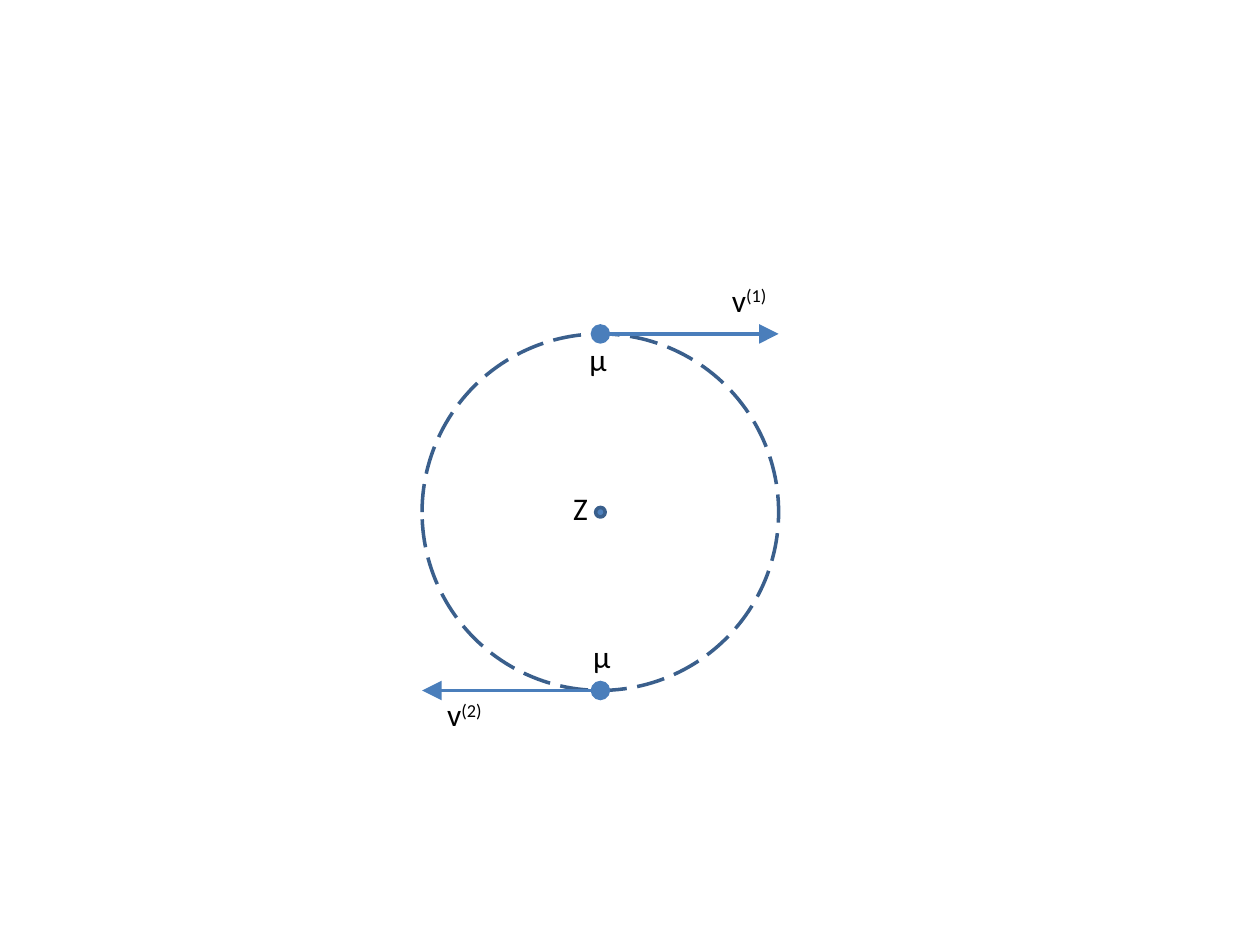
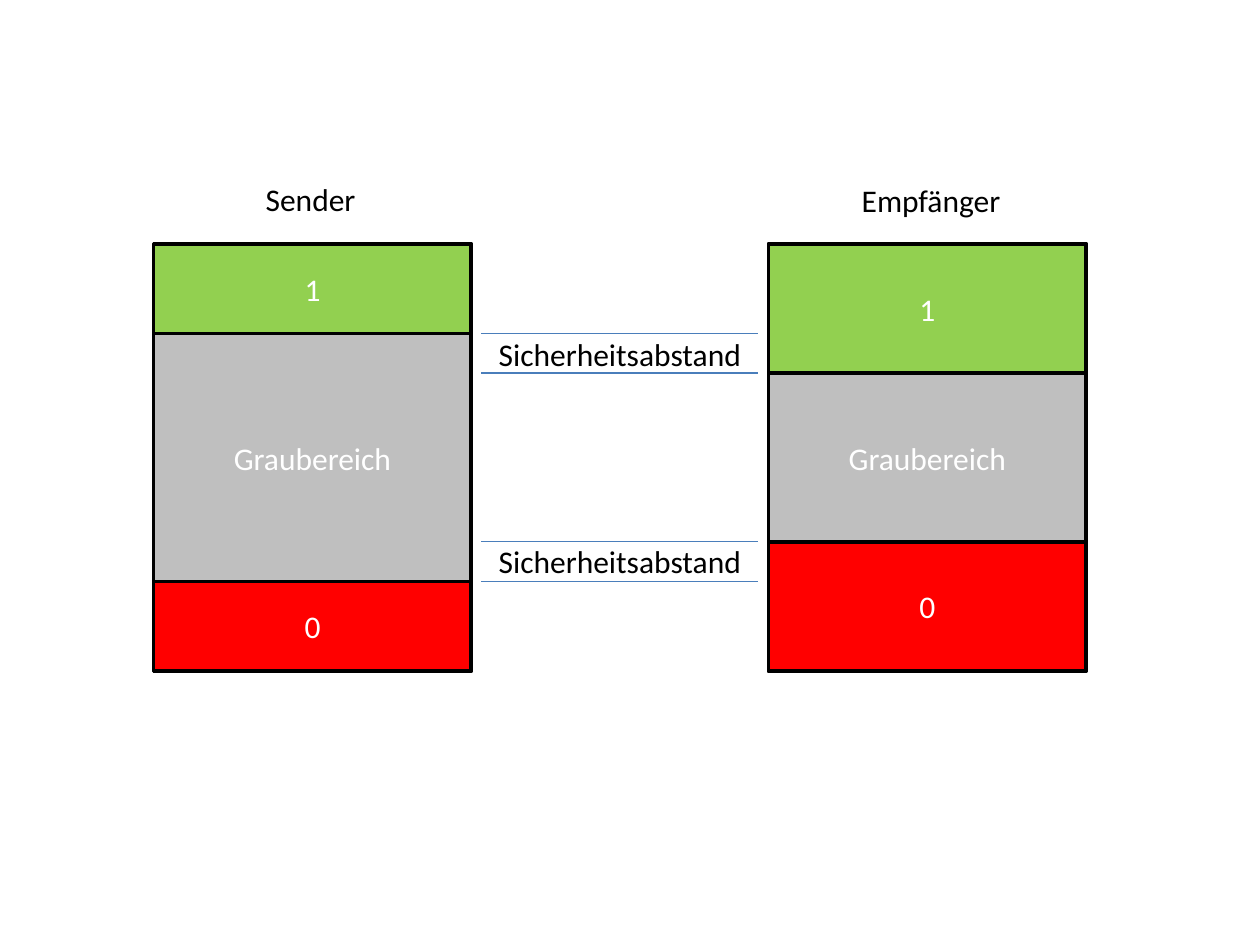
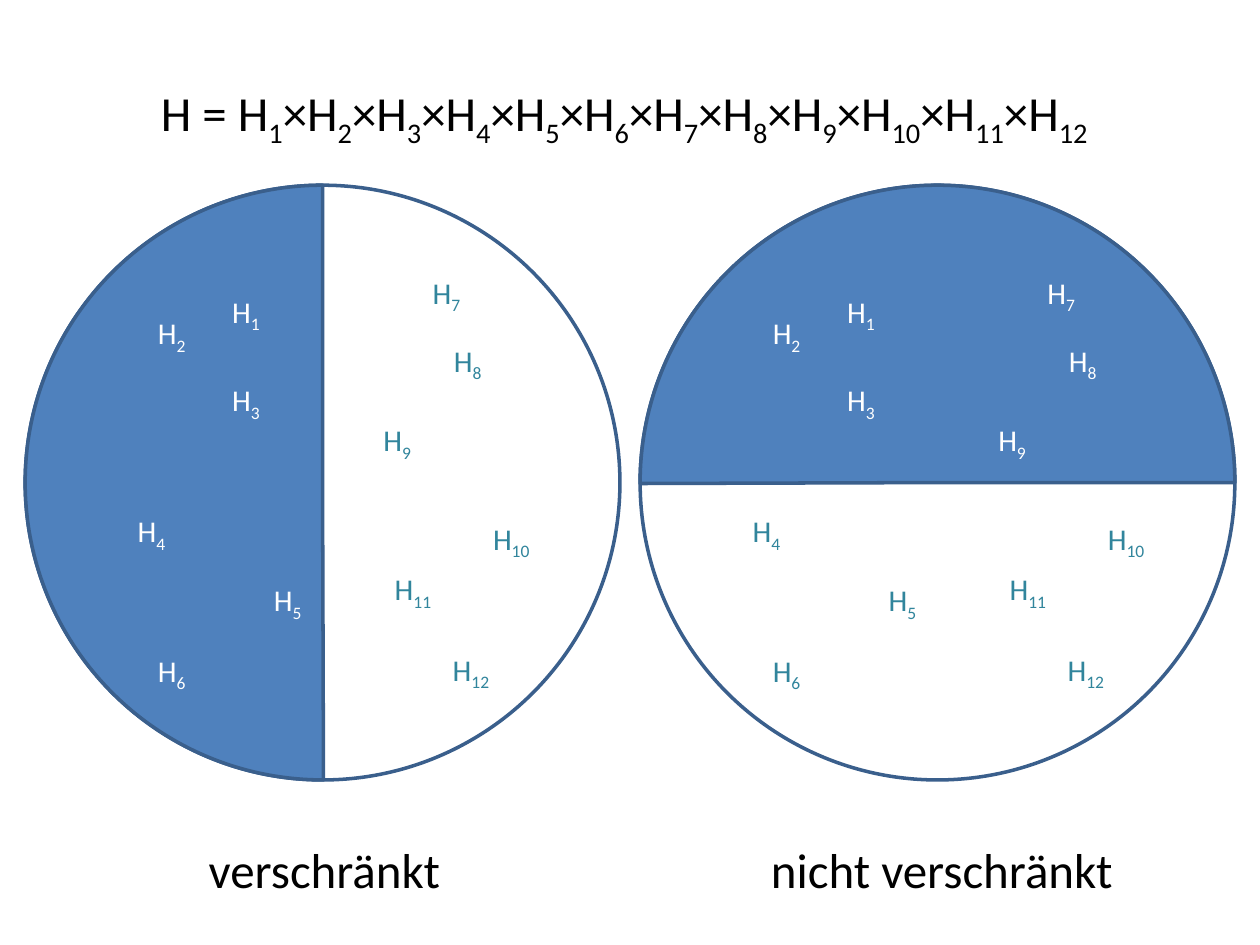
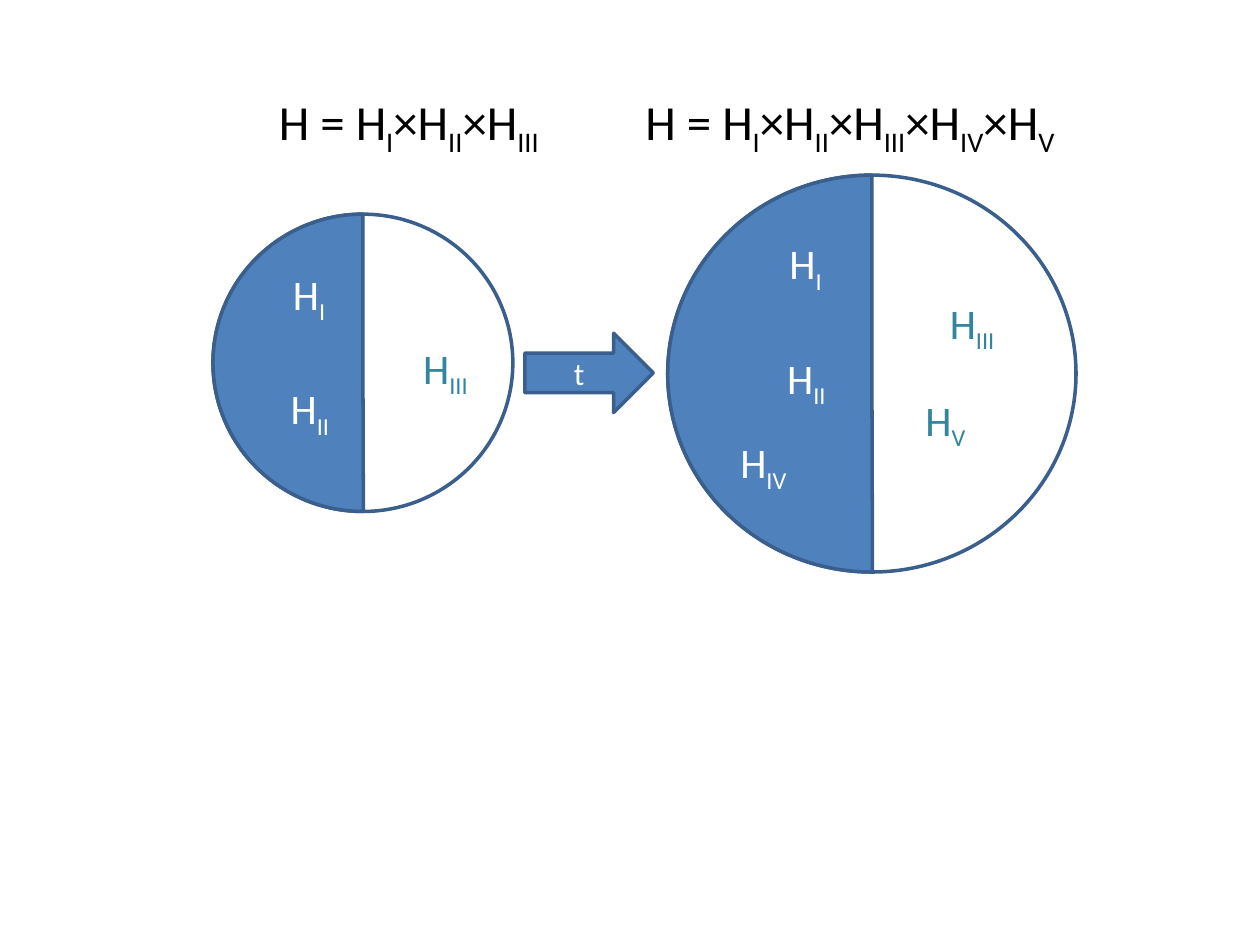
from dataclasses import dataclass
from typing import Optional

from lxml.etree import SubElement
from pptx import Presentation
from pptx.dml.color import RGBColor
from pptx.enum.dml import MSO_LINE
from pptx.enum.shapes import MSO_CONNECTOR, MSO_SHAPE
from pptx.enum.text import MSO_ANCHOR, MSO_AUTO_SIZE, PP_ALIGN
from pptx.oxml.ns import qn
from pptx.util import Inches, Pt

# Shared style: a grid of 100 columns and 75 rows covers the slide
COLUMNS, ROWS = 100, 75
FONT = "Calibri"
COLORS = {
    "black": "000000", "white": "FFFFFF", "blue": "4F81BD", "outline": "3A5F8C",
    "line": "4A7EBB", "teal": "31859C", "grey": "BFBFBF", "green": "92D050", "red": "FF0000",
}
SUBSCRIPT, SUPERSCRIPT = -25000, 30000

presentation = Presentation()
presentation.slide_width, presentation.slide_height = Inches(10), Inches(7.5)
CELL_WIDTH = presentation.slide_width / COLUMNS
CELL_HEIGHT = presentation.slide_height / ROWS


@dataclass(frozen=True)
class Box:
    """An area in columns and rows."""
    left: float
    top: float
    width: float
    height: float

    @property
    def center(self) -> tuple[float, float]:
        return self.left + self.width / 2, self.top + self.height / 2

    def emu(self) -> tuple[int, int, int, int]:
        return (round(self.left * CELL_WIDTH), round(self.top * CELL_HEIGHT),
                round(self.width * CELL_WIDTH), round(self.height * CELL_HEIGHT))


@dataclass(frozen=True)
class Label:
    """Text in which every second part between bars is raised or lowered."""
    text: str
    box: Box
    size: float = 18
    color: str = "black"
    align: PP_ALIGN = PP_ALIGN.LEFT
    wrap: bool = False
    script: int = SUBSCRIPT


@dataclass(frozen=True)
class Band:
    text: str
    color: str
    top: float
    height: float


@dataclass(frozen=True)
class Bar:
    title: str
    title_box: Box
    left: float
    edge_height: float


def rgb(name: str) -> RGBColor:
    return RGBColor.from_string(COLORS[name])


def add_slide():
    return presentation.slides.add_slide(presentation.slide_layouts[6])


def write(frame, label: Label) -> None:
    paragraph = frame.paragraphs[0]
    paragraph.alignment = label.align
    paragraph.font.name = FONT
    paragraph.font.size = Pt(label.size)
    paragraph.font.color.rgb = rgb(label.color)
    for position, part in enumerate(label.text.split("|")):
        run = paragraph.add_run()
        run.text = part
        if position % 2:
            run._r.get_or_add_rPr().set("baseline", str(label.script))


def add_label(slide, label: Label) -> None:
    frame = slide.shapes.add_textbox(*label.box.emu()).text_frame
    frame.word_wrap = label.wrap
    if label.wrap:
        frame.vertical_anchor = MSO_ANCHOR.MIDDLE
    else:
        frame.auto_size = MSO_AUTO_SIZE.SHAPE_TO_FIT_TEXT
    write(frame, label)


def add_shape(slide, preset: MSO_SHAPE, box: Box, fill: Optional[str],
              line: str = "outline", text: str = ""):
    shape = slide.shapes.add_shape(preset, *box.emu())
    shape.shadow.inherit = False
    if fill:
        shape.fill.solid()
        shape.fill.fore_color.rgb = rgb(fill)
    else:
        shape.fill.background()
    shape.line.color.rgb = rgb(line)
    shape.line.width = Pt(2)
    if text:
        shape.text_frame.vertical_anchor = MSO_ANCHOR.MIDDLE
        write(shape.text_frame, Label(text, box, color="white", align=PP_ALIGN.CENTER))
    return shape


def add_line(slide, start: tuple[float, float], end: tuple[float, float],
             width: float, head: str = "", tail: str = "") -> None:
    x1, y1, _, _ = Box(*start, 0, 0).emu()
    x2, y2, _, _ = Box(*end, 0, 0).emu()
    connector = slide.shapes.add_connector(MSO_CONNECTOR.STRAIGHT, x1, y1, x2, y2)
    connector.line.color.rgb = rgb("line")
    connector.line.width = Pt(width)
    for tag, kind in (("a:headEnd", head), ("a:tailEnd", tail)):
        if kind:
            end_mark = SubElement(connector.line._get_or_add_ln(), qn(tag))
            for name, value in (("type", kind), ("w", "lg"), ("len", "lg")):
                end_mark.set(name, value)
    SubElement(connector._element.spPr, qn("a:effectLst"))


def add_split_circle(slide, box: Box, rotation: float = 0) -> None:
    """A white circle with one half filled: the left one, unless rotated."""
    add_shape(slide, MSO_SHAPE.FLOWCHART_CONNECTOR, box, "white").rotation = rotation
    half = add_shape(slide, MSO_SHAPE.PIE, box, "blue")
    half.adjustments[0], half.adjustments[1] = 53.89, 162
    half.rotation = rotation


def add_heading(slide, text: str, box: Box) -> None:
    add_label(slide, Label(text, box, 28, align=PP_ALIGN.CENTER, wrap=True))


def add_factor(slide, index: str, box: Box, size: float, filled: bool) -> None:
    color = "white" if filled else "teal"
    add_label(slide, Label(f"H|{index}", box, size, color, PP_ALIGN.RIGHT, True))


def product(indices: list[str]) -> str:
    return "H = H|" + "|×H|".join(indices) + " "


# Slide 1: two particles on one orbit
slide = add_slide()
orbit = Box(33.5, 26.5, 28.3, 28.3)
center_x, center_y = orbit.center
right, bottom = orbit.left + orbit.width, orbit.top + orbit.height
add_shape(slide, MSO_SHAPE.OVAL, orbit, None).line.dash_style = MSO_LINE.LONG_DASH
for y, tip in ((orbit.top, right), (bottom, orbit.left)):
    add_line(slide, (center_x, y), (tip, y), 2.24, "oval", "triangle")
add_shape(slide, MSO_SHAPE.OVAL, Box(center_x - 0.38, center_y - 0.38, 0.76, 0.76), "blue")
for text, left, top, width in (
    ("Z", 44.5, 38.3, 3.1),
    ("μ", 45.8, 26.5, 3.3),
    ("μ", 46.1, 50.1, 3.3),
    ("v|(1)", 57.1, 21.8, 5),
    ("v|(2)", 34.5, 54.7, 5),
):
    add_label(slide, Label(text, Box(left, top, width, 4), script=SUPERSCRIPT))

# Slide 2: signal levels of sender and receiver
slide = add_slide()
BAR_TOP, BAR_WIDTH, BAR_HEIGHT = 19.37, 25.2, 33.87
bars = (
    Bar("Sender", Box(20.1, 13.8, 9.5, 4), 12.2, 7.1),
    Bar("Empfänger", Box(67.4, 13.9, 13.2, 4), 61, 10.24),
)
for bar in bars:
    bands = (
        Band("Graubereich", "grey", BAR_TOP, BAR_HEIGHT),
        Band("1", "green", BAR_TOP, bar.edge_height),
        Band("0", "red", BAR_TOP + BAR_HEIGHT - bar.edge_height, bar.edge_height),
    )
    for band in bands:
        add_shape(slide, MSO_SHAPE.FLOWCHART_PROCESS,
                  Box(bar.left, band.top, BAR_WIDTH, band.height),
                  band.color, "black", band.text)
    add_label(slide, Label(bar.title, bar.title_box))

# Safety margins between the two bars
for bar in bars:
    for y in (BAR_TOP + bar.edge_height, BAR_TOP + BAR_HEIGHT - bar.edge_height):
        add_line(slide, (38.2, y), (60.2, y), 0.75)
for top in (26.1, 42.55):
    add_label(slide, Label("Sicherheitsabstand", Box(38.6, top, 21.4, 4)))

# Slide 3: one product of twelve factors, divided in two ways
slide = add_slide()
CIRCLE_SIZE, CIRCLE_PITCH = 47.2, 48.8
factor_places = (
    (12.6, 22.5), (6.7, 24.2), (12.6, 29.5), (5.1, 39.9), (15.9, 45.4), (6.7, 51),
    (27.9, 21), (29.6, 26.4), (24, 32.7), (33.4, 40.5), (25.6, 44.5), (30.2, 50.9),
)
divisions = (
    ("verschränkt", 9.6, 0, {1, 2, 3, 4, 5, 6}),
    ("nicht verschränkt", 58.6, 90, {1, 2, 3, 7, 8, 9}),
)
add_heading(slide, product([str(index) for index in range(1, 13)]), Box(1, 6.1, 97.6, 6.2))
for number, (caption, caption_left, rotation, filled) in enumerate(divisions):
    shift = number * CIRCLE_PITCH
    add_split_circle(slide, Box(2 + shift, 14.7, CIRCLE_SIZE, CIRCLE_SIZE), rotation)
    for index, (left, top) in enumerate(factor_places, start=1):
        width = 9 if index <= 6 else 9.6
        add_factor(slide, str(index), Box(left + shift, top, width, 4.8), 17.2, index in filled)
    add_heading(slide, caption, Box(caption_left, 65.85, 32.3, 6.2))

# Slide 4: the product grows with time
slide = add_slide()
stages = (
    (["I", "II", "III"], Box(15.95, 6.8, 33.5, 6.2), Box(16.9, 17, 23.8, 23.6), {
        "I": Box(19.3, 21, 7.5, 5.1),
        "II": Box(19.6, 30.1, 7.5, 5.1),
        "III": Box(28.7, 27.7, 9.4, 3.5),
    }),
    (["I", "II", "III", "IV", "V"], Box(47.45, 6.8, 40.5, 6.2), Box(53, 13.9, 32.4, 31.5), {
        "I": Box(58.7, 18.6, 7.5, 5.1),
        "II": Box(59, 27.7, 7.5, 5.1),
        "III": Box(70.5, 24.1, 9.4, 3.5),
        "IV": Box(53.1, 33.6, 10.3, 6.7),
        "V": Box(64.8, 31.2, 12.8, 4.7),
    }),
)
for indices, heading_box, circle, factors in stages:
    add_heading(slide, product(indices), heading_box)
    add_split_circle(slide, circle)
    for index, box in factors.items():
        add_factor(slide, index, box, 24, index in {"I", "II", "IV"})
add_shape(slide, MSO_SHAPE.RIGHT_ARROW, Box(41.65, 26.45, 10.2, 6.3), "blue", text="t")

presentation.save("out.pptx")
